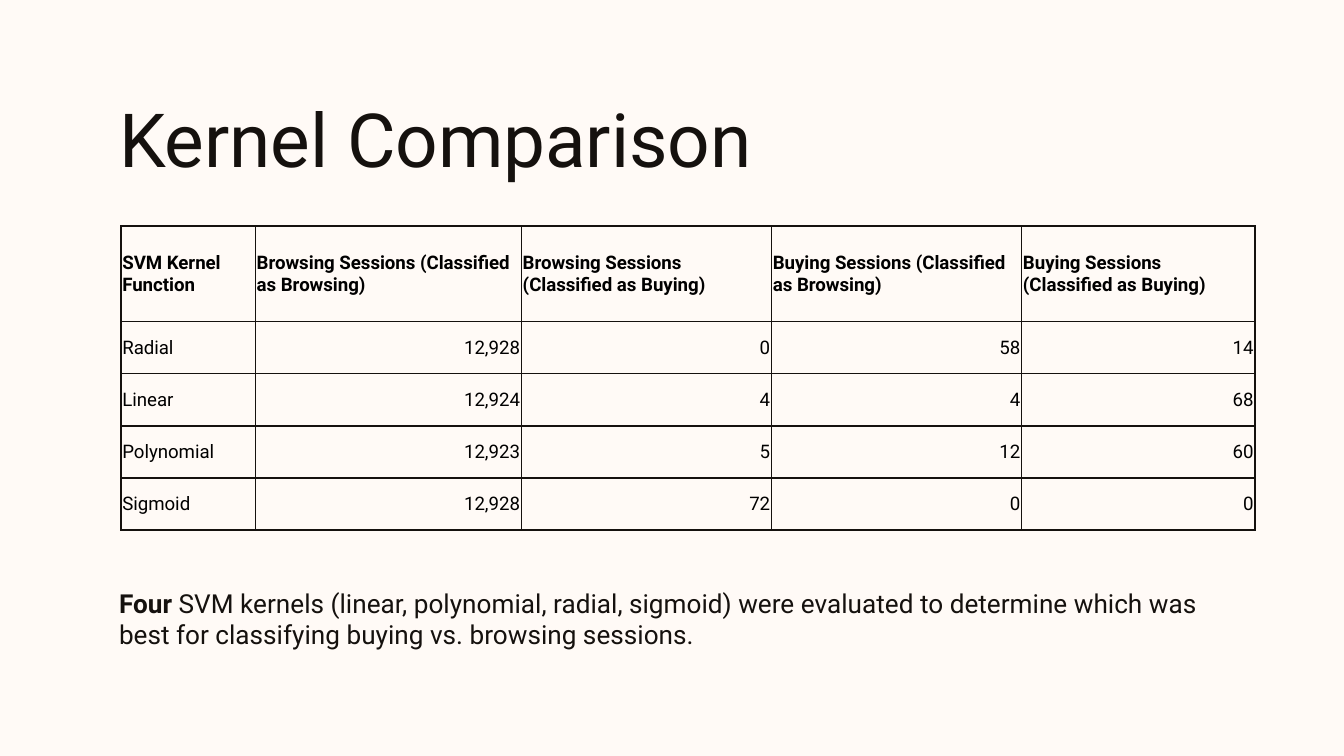
from dataclasses import dataclass
from typing import Any

from lxml import etree
from pptx import Presentation
from pptx import util as u
from pptx.dml import color
from pptx.enum import text
from pptx.oxml import ns

HEADINGS = [
    "SVM Kernel Function",
    "Browsing Sessions (Classified as Browsing)",
    "Browsing Sessions (Classified as Buying)",
    "Buying Sessions (Classified as Browsing)",
    "Buying Sessions (Classified as Buying)",
]
KERNELS = [
    ["Radial", "12,928", "0", "58", "14"],
    ["Linear", "12,924", "4", "4", "68"],
    ["Polynomial", "12,923", "5", "12", "60"],
    ["Sigmoid", "12,928", "72", "0", "0"],
]


def rgb(value):
    return color.RGBColor.from_string(value)


@dataclass
class Deck:
    """Style and current slide, with a method for each kind of element."""

    slide: Any
    font: str = "Roboto"
    ink: str = "15110E"
    cell_ink: str = "000000"
    paper: str = "FFFAF6"
    inset: float = 7.2
    cell_inset: float = 0.75

    def background(self):
        fill = self.slide.background.fill
        fill.solid()
        fill.fore_color.rgb = rgb(self.paper)

    def format(self, run, size, ink, bold=False):
        run.font.name = self.font
        run.font.size = u.Pt(size)
        run.font.bold = bold
        run.font.color.rgb = rgb(ink)

    def text_box(self, left, top, width, height, size, words, lead=""):
        box = self.slide.shapes.add_textbox(*map(u.Pt, (left, top, width, height)))
        frame = box.text_frame
        frame.word_wrap = True
        frame.vertical_anchor = text.MSO_ANCHOR.TOP
        frame.margin_left = frame.margin_right = u.Pt(self.inset)
        frame.margin_top = frame.margin_bottom = u.Pt(self.inset)
        paragraph = frame.paragraphs[0]
        for part, bold in ((lead, True), (words, False)):
            if part:
                run = paragraph.add_run()
                run.text = part
                self.format(run, size, self.ink, bold)

    def border(self, cell, width=1):
        properties = cell._tc.get_or_add_tcPr()
        for side in ("lnL", "lnR", "lnT", "lnB"):
            line = etree.SubElement(properties, ns.qn(f"a:{side}"), w=str(u.Pt(width)))
            fill = etree.SubElement(line, ns.qn("a:solidFill"))
            etree.SubElement(fill, ns.qn("a:srgbClr"), val=self.ink)

    def cell(self, cell, words, bold, align, size=10):
        cell.margin_left = cell.margin_right = cell.margin_top = u.Pt(self.cell_inset)
        cell.margin_bottom = 0
        cell.vertical_anchor = text.MSO_ANCHOR.MIDDLE
        self.border(cell)
        cell.fill.background()
        paragraph = cell.text_frame.paragraphs[0]
        paragraph.text = words
        paragraph.alignment = align
        self.format(paragraph.runs[0], size, self.cell_ink, bold)

    def table(self, left, top, widths, heights, rows):
        size = (left, top, sum(widths), sum(heights))
        frame = self.slide.shapes.add_table(len(rows), len(widths), *map(u.Pt, size))
        grid = frame.table
        grid.first_row = grid.horz_banding = False
        for column, width in zip(grid.columns, widths):
            column.width = u.Pt(width)
        for row, height in zip(grid.rows, heights):
            row.height = u.Pt(height)
        for r, row in enumerate(rows):
            for c, words in enumerate(row):
                is_count = r > 0 and c > 0
                align = text.PP_ALIGN.RIGHT if is_count else text.PP_ALIGN.LEFT
                self.cell(grid.cell(r, c), words, r == 0, align)


def main():
    presentation = Presentation()
    presentation.slide_width = u.Pt(720)
    presentation.slide_height = u.Pt(405)
    deck = Deck(presentation.slides.add_slide(presentation.slide_layouts[6]))
    deck.background()
    deck.text_box(56.7, 42.5, 466.5, 98.5, 40, "Kernel Comparison")
    deck.text_box(
        56.7, 307.5, 596, 55.5, 14,
        " SVM kernels (linear, polynomial, radial, sigmoid) were evaluated to determine "
        "which was best for classifying buying vs. browsing sessions.",
        lead="Four",
    )
    widths = [72, 142.5, 134, 134, 125]
    heights = [51.3] + [27.9] * len(KERNELS)
    deck.table(64.8, 121, widths, heights, [HEADINGS] + KERNELS)
    presentation.save("out.pptx")


if __name__ == "__main__":
    main()
